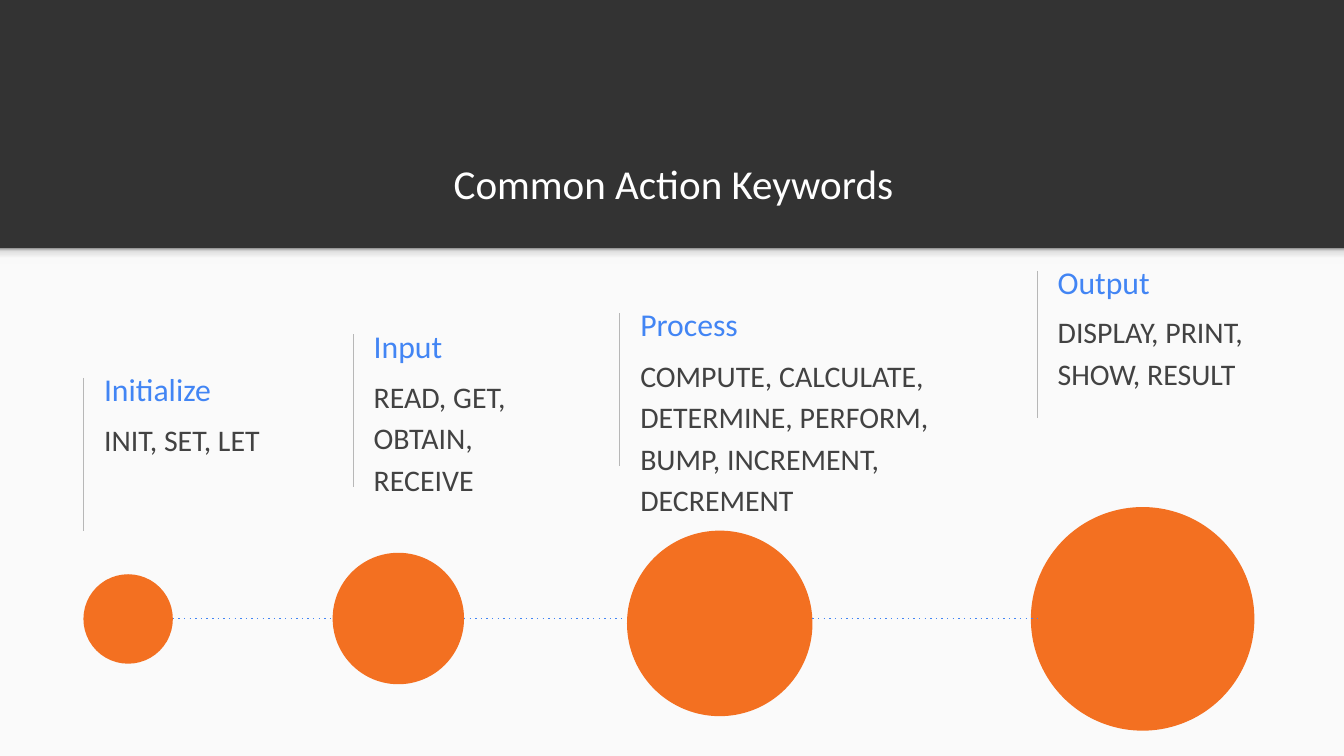
from lxml.etree import SubElement
from pptx import Presentation
from pptx.dml.color import RGBColor
from pptx.enum.shapes import MSO_CONNECTOR, MSO_SHAPE
from pptx.enum.text import MSO_ANCHOR, PP_ALIGN
from pptx.oxml import parse_xml
from pptx.oxml.ns import nsdecls, qn
from pptx.util import Pt

DARK = RGBColor(0x33, 0x33, 0x33)
PAPER = RGBColor(0xFA, 0xFA, 0xFA)
WHITE = RGBColor(0xFF, 0xFF, 0xFF)
BLUE = RGBColor(0x42, 0x85, 0xF4)
GREY = RGBColor(0x42, 0x42, 0x42)
RULE = RGBColor(0xB7, 0xB7, 0xB7)
ORANGE = RGBColor(0xF3, 0x70, 0x21)

FONT = "Calibri"
WIDTH, HEIGHT = 1440, 809.63
BAND_BOTTOM = 265.7
SHADE_STOPS = [(0, "F9F9F9"), (36, "F9F9F9"), (80, "DEDEDE"), (100, "999999")]

TITLE = "Common Action Keywords"
# heading, keywords, rule (x, top, length), heading (top, width), keywords (top, width, height)
STEPS = [
    ("Initialize", "INIT, SET, LET",
     (89.3, 404.8, 163.5), (385.5, 285.8), (431.6, 249.8, 91.4)),
    ("Input", "READ, GET, OBTAIN, RECEIVE",
     (378.2, 358, 163.5), (339.8, 285.8), (385.5, 247, 170.6)),
    ("Process", "COMPUTE, CALCULATE, DETERMINE, PERFORM, BUMP, INCREMENT, DECREMENT",
     (663.8, 335.5, 163.5), (316.1, 223.9), (363.1, 386.6, 193)),
    ("Output", "DISPLAY, PRINT, SHOW, RESULT",
     (1111, 290.2, 157.2), (270.7, 285.8), (316.1, 304.6, 160.6)),
]
RULE_GAP, HEADING_HEIGHT = 7.8, 61.9

# left, top, diameter
CIRCLES = [(89.4, 615, 95.8), (356.4, 592, 140.8), (671.8, 568.3, 198.7), (1104.5, 543, 239.5)]
LINK_ENDS = [356.4, 668.2, 1111]
LINK_Y = 662.5


def write(sp, text, size, color, anchor=MSO_ANCHOR.TOP, align=PP_ALIGN.LEFT, spacing=None, after=None):
    tf = sp.text_frame
    tf.word_wrap = True
    tf.vertical_anchor = anchor
    tf.margin_left = tf.margin_right = tf.margin_top = tf.margin_bottom = Pt(14.4)
    p = tf.paragraphs[0]
    p.alignment = align
    if spacing:
        p.line_spacing = spacing
    if after:
        p.space_after = Pt(after)
    r = p.add_run()
    r.text = text
    r.font.name, r.font.size = FONT, Pt(size)
    r.font.color.rgb = color


def add_text(s, left, top, width, height, text, **style):
    write(s.shapes.add_textbox(Pt(left), Pt(top), Pt(width), Pt(height)), text, **style)


def add_plain(s, kind, left, top, width, height, color):
    sp = s.shapes.add_shape(kind, Pt(left), Pt(top), Pt(width), Pt(height))
    sp.shadow.inherit = False
    sp.fill.solid()
    sp.fill.fore_color.rgb = color
    sp.line.fill.background()
    return sp


def add_line(s, x1, y1, x2, y2, color, weight, dash=None):
    line = s.shapes.add_connector(MSO_CONNECTOR.STRAIGHT, Pt(x1), Pt(y1), Pt(x2), Pt(y2))
    line.line.color.rgb = color
    line.line.width = Pt(weight)
    spPr = line._element.spPr
    if dash:
        SubElement(spPr.find(qn("a:ln")), qn("a:prstDash"), val=dash)
    SubElement(spPr, qn("a:effectLst"))


def shade(sp, stops):
    """Replace the solid fill by a gradient running from bottom to top."""
    gs = "".join(f'<a:gs pos="{pos * 1000}"><a:srgbClr val="{rgb}"/></a:gs>' for pos, rgb in stops)
    spPr = sp._element.spPr
    solid = spPr.find(qn("a:solidFill"))
    spPr.replace(solid, parse_xml(
        f'<a:gradFill {nsdecls("a")}><a:gsLst>{gs}</a:gsLst>'
        '<a:lin ang="16200000" scaled="0"/></a:gradFill>'))


def main():
    prs = Presentation()
    prs.slide_width, prs.slide_height = Pt(WIDTH), Pt(HEIGHT)
    s = prs.slides.add_slide(prs.slide_layouts[5])
    s.background.fill.solid()
    s.background.fill.fore_color.rgb = DARK

    title = s.shapes.title
    title.left, title.top, title.width, title.height = Pt(74.2), Pt(116.4), Pt(1295.3), Pt(121)
    write(title, TITLE, 44, WHITE, anchor=MSO_ANCHOR.BOTTOM, align=PP_ALIGN.CENTER)

    add_plain(s, MSO_SHAPE.RECTANGLE, 0, BAND_BOTTOM, WIDTH, HEIGHT - BAND_BOTTOM, PAPER)
    shade(add_plain(s, MSO_SHAPE.RECTANGLE, 0, BAND_BOTTOM, WIDTH, 17.3, PAPER), SHADE_STOPS)

    for heading, keywords, (x, rule_top, length), (top, width), body in STEPS:
        add_line(s, x, rule_top, x, rule_top + length, RULE, 0.75)
        left = x + RULE_GAP
        add_text(s, left, top, width, HEADING_HEIGHT, heading,
                 size=34, color=BLUE, anchor=MSO_ANCHOR.MIDDLE)
        add_text(s, left, *body, keywords, size=32, color=GREY, spacing=1.15, after=32)

    for left, top, diameter in CIRCLES:
        add_plain(s, MSO_SHAPE.OVAL, left, top, diameter, diameter, ORANGE)
    for (left, _, diameter), end in zip(CIRCLES, LINK_ENDS):
        add_line(s, left + diameter, LINK_Y, end, LINK_Y, BLUE, 1.5, dash="dot")

    prs.save("out.pptx")


if __name__ == "__main__":
    main()
